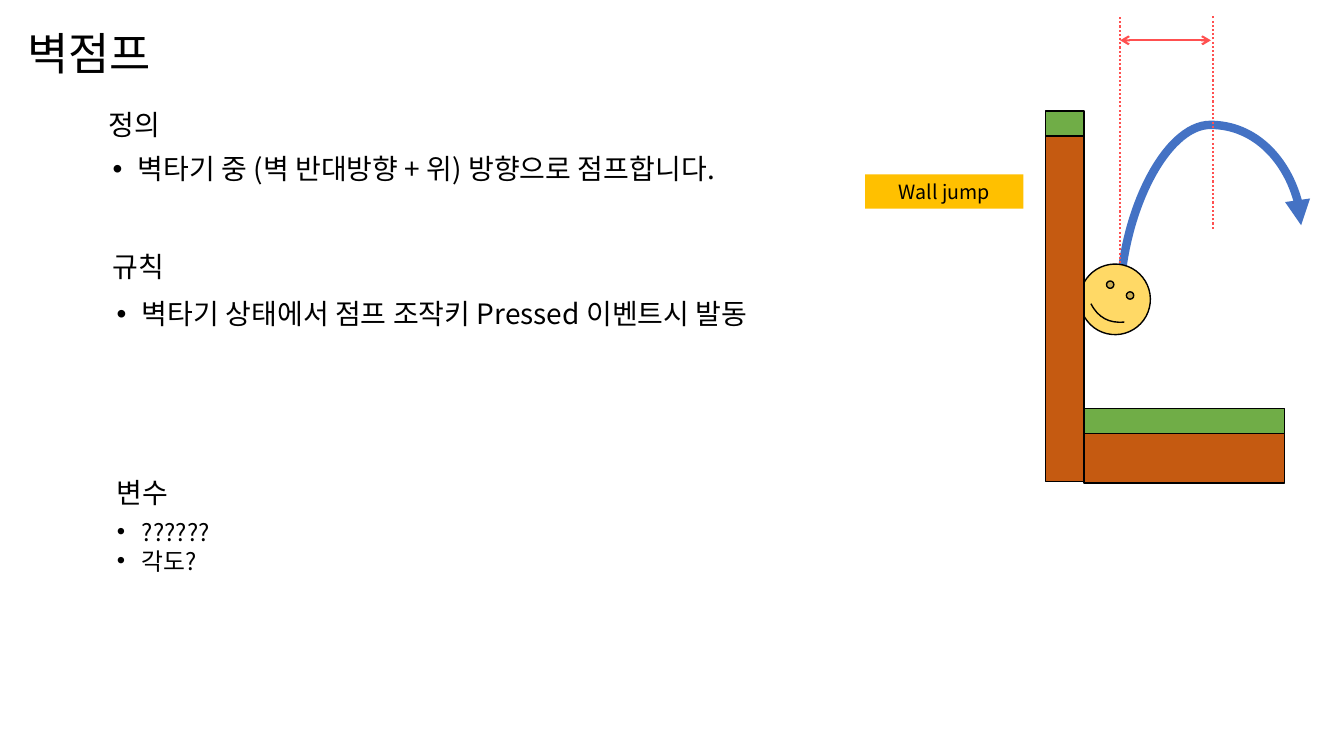
from lxml.etree import SubElement
from pptx import Presentation
from pptx.dml.color import RGBColor
from pptx.enum.dml import MSO_LINE
from pptx.enum.shapes import MSO_CONNECTOR, MSO_SHAPE
from pptx.enum.text import MSO_ANCHOR, PP_ALIGN
from pptx.oxml.ns import qn
from pptx.util import Inches, Pt

FONT = "Noto Sans CJK KR"
BLACK, BLUE, RED = "000000", "4472C4", "FF5050"
GRASS, SOIL, SKIN, AMBER = "70AD47", "C55A11", "FFD966", "FFC000"


def color(hex_value):
    return RGBColor.from_string(hex_value)


class JumpSlide:
    """Holds the slide and its text and line style."""

    def __init__(self, slide):
        self.slide = slide
        self.shapes = slide.shapes

    def style(self, paragraph, size):
        for run in paragraph.runs:
            run.font.size = Pt(size)
            run.font.name = FONT
            run.font.color.rgb = color(BLACK)
            SubElement(run.font._element, qn("a:ea"), typeface=FONT)

    def text(self, box, lines, size=20, bullets=False, spacing=0.9, gap=0,
             anchor=MSO_ANCHOR.TOP):
        frame = self.shapes.add_textbox(*map(Inches, box)).text_frame
        frame.word_wrap = True
        frame.vertical_anchor = anchor
        frame.text = "\n".join(lines)
        for index, paragraph in enumerate(frame.paragraphs):
            paragraph.line_spacing = spacing
            paragraph.space_before = Pt(gap if index else 0)
            if bullets:
                props = paragraph._p.get_or_add_pPr()
                props.set("marL", str(Inches(0.25)))
                props.set("indent", str(-Inches(0.25)))
                SubElement(props, qn("a:buFont"), typeface="Arial")
                SubElement(props, qn("a:buChar"), char="•")
            self.style(paragraph, size)

    def shape(self, box, fill, kind=MSO_SHAPE.RECTANGLE, outlined=True):
        shape = self.shapes.add_shape(kind, *map(Inches, box))
        shape.shadow.inherit = False
        shape.fill.solid()
        shape.fill.fore_color.rgb = color(fill)
        if outlined:
            shape.line.color.rgb = color(BLACK)
            shape.line.width = Pt(1)
        else:
            shape.line.fill.background()
        return shape

    def terrain(self, left, top, width, soil_height):
        grass_height = 0.25
        self.shape((left, top, width, grass_height), GRASS)
        self.shape((left, top + grass_height, width, soil_height), SOIL)

    def label(self, box, words):
        label = self.shape(box, AMBER, outlined=False)
        frame = label.text_frame
        frame.vertical_anchor = MSO_ANCHOR.MIDDLE
        frame.margin_top = frame.margin_bottom = 0
        frame.text = words
        frame.paragraphs[0].alignment = PP_ALIGN.CENTER
        self.style(frame.paragraphs[0], 14)

    def line(self, start, end, stroke=RED, width=1.5, kind=MSO_CONNECTOR.STRAIGHT,
             dash=None, head=None, tail=None):
        line = self.shapes.add_connector(kind, *map(Inches, start + end))
        line.line.color.rgb = color(stroke)
        line.line.width = Pt(width)
        if dash:
            line.line.dash_style = dash
        outline = line.line._get_or_add_ln()
        for tag, arrow in (("a:headEnd", head), ("a:tailEnd", tail)):
            if arrow:
                SubElement(outline, qn(tag), type=arrow)
        SubElement(line._element.spPr, qn("a:effectLst"))
        return line

    def jump_arc(self, start, end, bend):
        # The connector is laid out unturned, then turned by a quarter
        arc = self.line(start, end, BLUE, 6, MSO_CONNECTOR.CURVE, tail="triangle")
        props = arc._element.spPr
        props.find(qn("a:xfrm")).set("rot", str(90 * 60000))
        geometry = props.find(qn("a:prstGeom"))
        adjustments = geometry.find(qn("a:avLst"))
        if adjustments is None:
            adjustments = SubElement(geometry, qn("a:avLst"))
        SubElement(adjustments, qn("a:gd"), name="adj1",
                   fmla=f"val {round(bend * 100000)}")


def main():
    deck = Presentation()
    deck.slide_width, deck.slide_height = Inches(13.33), Inches(7.5)
    page = JumpSlide(deck.slides.add_slide(deck.slide_layouts[6]))

    # Title
    page.text((0.17, 0.15, 7.19, 0.81), ["벽점프"], 32, anchor=MSO_ANCHOR.MIDDLE)

    # Definition, rule and variables
    page.text((0.98, 1.06, 0.76, 0.43), ["정의"])
    page.text((1.02, 1.49, 7.5, 1.04),
              ["벽타기 중 (벽 반대방향 + 위) 방향으로 점프합니다."], bullets=True)
    page.text((1.02, 2.46, 0.76, 0.43), ["규칙"])
    page.text((1.06, 2.93, 7.5, 1.43),
              ["벽타기 상태에서 점프 조작키 Pressed 이벤트시 발동"], bullets=True)
    page.text((1.06, 4.71, 0.99, 0.43), ["변수"])
    page.text((1.06, 5.16, 4.89, 0.65), ["??????", "각도?"], 17,
              bullets=True, spacing=0.7, gap=7)

    # Jump path, ground, player and wall
    page.jump_arc((12.41, 3.54), (11.6, 1.74), 2.23)
    page.terrain(10.75, 4.05, 1.99, 0.49)
    player = page.shape((10.71, 2.62, 0.7, 0.7), SKIN, MSO_SHAPE.SMILEY_FACE)
    player.rotation = 28.6
    page.terrain(10.37, 1.1, 0.38, 3.43)

    # Horizontal distance to the top of the jump
    for x, bottom in ((11.11, 2.61), (12.03, 2.27)):
        page.line((x, bottom), (x, 0.15), dash=MSO_LINE.ROUND_DOT)
    page.line((12.01, 0.4), (11.11, 0.4), head="arrow", tail="arrow")

    # Name of the move
    page.label((8.58, 1.73, 1.57, 0.34), "Wall jump")

    deck.save("out.pptx")


if __name__ == "__main__":
    main()
